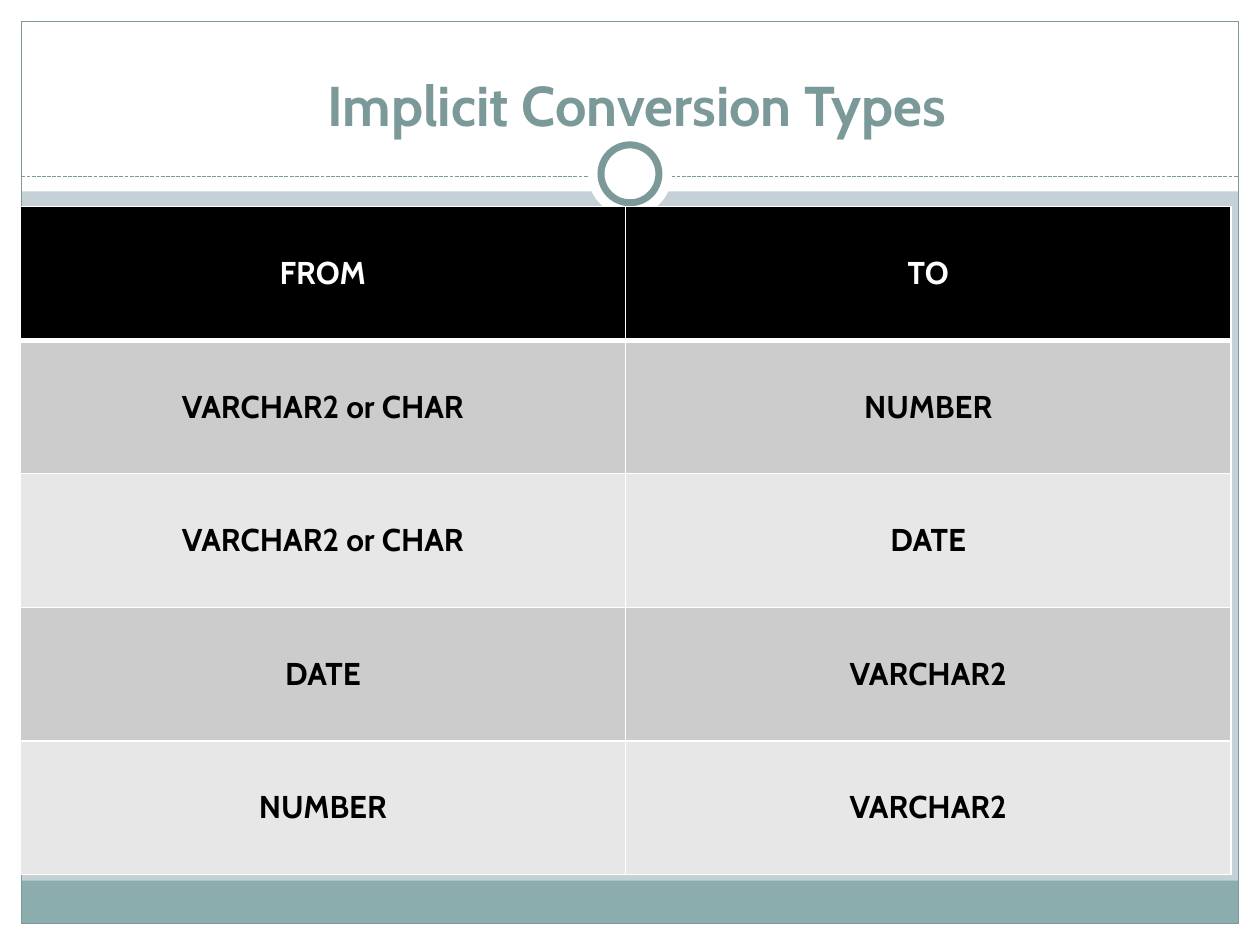
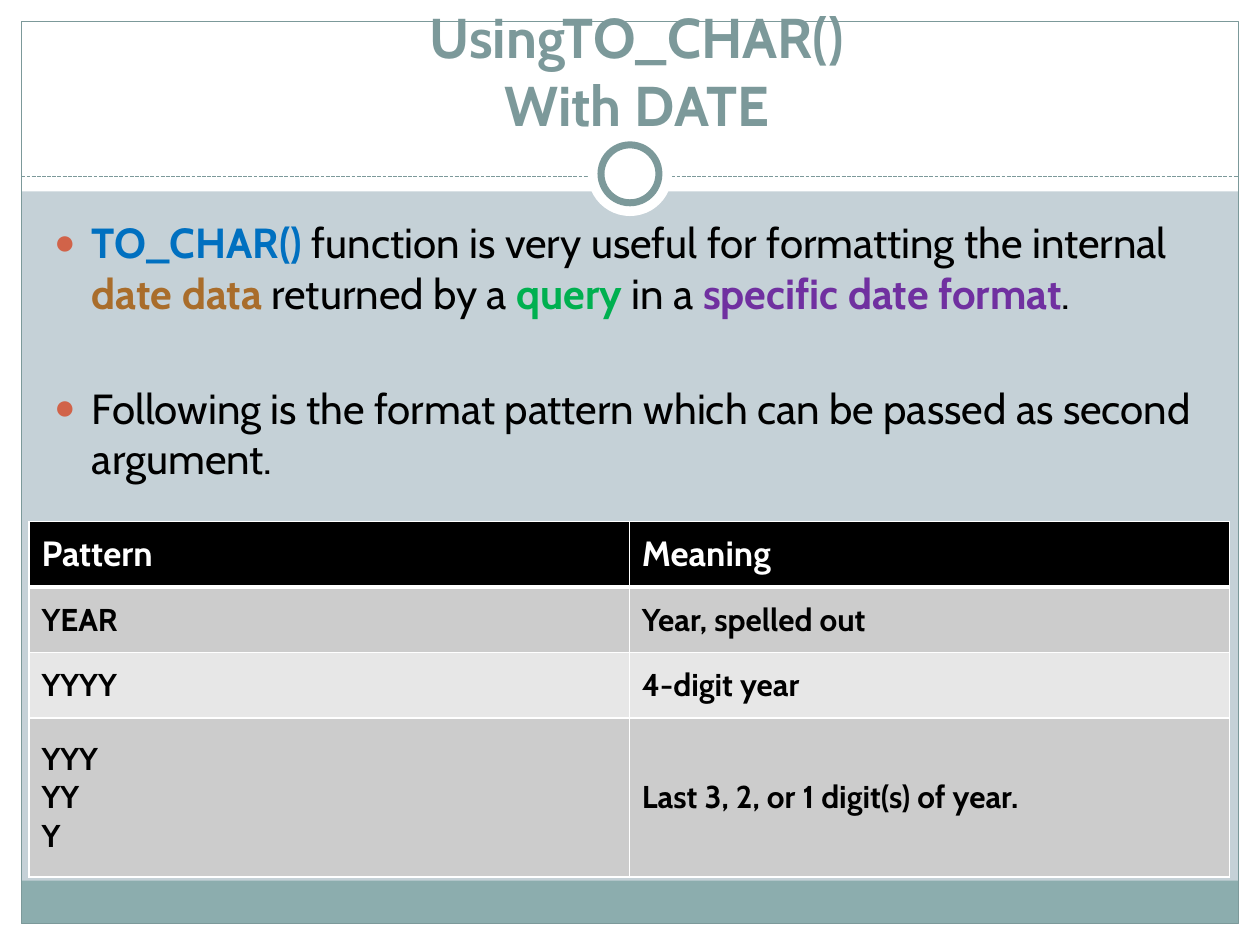
from dataclasses import dataclass

from lxml import etree
from pptx import Presentation
from pptx.dml.color import RGBColor
from pptx.enum.dml import MSO_LINE
from pptx.enum.shapes import MSO_CONNECTOR, MSO_SHAPE
from pptx.enum.text import MSO_ANCHOR, MSO_AUTO_SIZE, PP_ALIGN
from pptx.oxml import parse_xml
from pptx.oxml.ns import nsdecls, qn
from pptx.util import Inches, Pt

RECTANGLE, OVAL = MSO_SHAPE.RECTANGLE, MSO_SHAPE.OVAL
STRAIGHT = MSO_CONNECTOR.STRAIGHT
SHORT_DASH = MSO_LINE.SQUARE_DOT
BOTTOM, MIDDLE, TOP = MSO_ANCHOR.BOTTOM, MSO_ANCHOR.MIDDLE, MSO_ANCHOR.TOP
CENTER, LEFT = PP_ALIGN.CENTER, PP_ALIGN.LEFT
NO_AUTOFIT = MSO_AUTO_SIZE.NONE
TITLE_AND_BODY, TITLE_ONLY = 1, 5


@dataclass(frozen=True)
class Theme:
    font: str = "Cabin"
    background: str = "C5D1D7"
    white: str = "FFFFFF"
    black: str = "000000"
    accent: str = "7C999A"
    footer: str = "8CADAE"
    bullet: str = "D16349"
    blue: str = "0070C0"
    brown: str = "A96D2B"
    green: str = "00B050"
    purple: str = "7030A0"
    bands: tuple = ("CCCCCC", "E7E7E7")
    title_size: int = 32
    body_size: int = 24
    header_size: int = 20
    cell_size: int = 18


THEME = Theme()
SLIDE_WIDTH, SLIDE_HEIGHT = 10, 7.5
EDGE = 0.17
INNER_WIDTH = SLIDE_WIDTH - 2 * EDGE
INNER_HEIGHT = SLIDE_HEIGHT - 2 * EDGE
RING_CENTER = (5, 1.38)

FRAME_PARTS = [
    (RECTANGLE, (0, SLIDE_HEIGHT - EDGE, SLIDE_WIDTH, EDGE), THEME.white, None),
    (RECTANGLE, (0, 0, SLIDE_WIDTH, 1.52), THEME.white, None),
    (RECTANGLE, (0, 0, EDGE, SLIDE_HEIGHT), THEME.white, None),
    (RECTANGLE, (SLIDE_WIDTH - EDGE, 0, EDGE, SLIDE_HEIGHT), THEME.white, None),
    (RECTANGLE, (EDGE, 6.99, INNER_WIDTH, 0.34), THEME.footer, None),
    (RECTANGLE, (EDGE, EDGE, INNER_WIDTH, INNER_HEIGHT), None, 0.75),
]
RING_PARTS = [(0.67, None), (0.46, 4)]

SLIDES = [
    {
        "title": "Implicit Conversion Types",
        "body": [],
        "table": {
            "box": (0.16, 1.64, 9.61),
            "row_heights": [1.06] * 5,
            "rows": [
                ("FROM", "TO"),
                ("VARCHAR2 or CHAR", "NUMBER"),
                ("VARCHAR2 or CHAR", "DATE"),
                ("DATE", "VARCHAR2"),
                ("NUMBER", "VARCHAR2"),
            ],
            "alignment": CENTER,
            "header_size": THEME.cell_size,
            "margins": (0.15, 0.07),
        },
    },
    {
        "title": "UsingTO_CHAR()\nWith DATE",
        "body": [
            [
                ("TO_CHAR()", THEME.blue),
                (" function is very useful for formatting the internal ", None),
                ("date data ", THEME.brown),
                ("returned by a ", None),
                ("query", THEME.green),
                (" in a ", None),
                ("specific date format", THEME.purple),
                (".", None),
            ],
            [("Following is the format pattern which can be passed as second argument.", None)],
        ],
        "table": {
            "box": (0.23, 4.14, 9.53),
            "row_heights": [0.52, 0.52, 0.52, 1.26],
            "rows": [
                ("Pattern", "Meaning"),
                ("YEAR", "Year, spelled out"),
                ("YYYY", "4-digit year"),
                ("YYY\nYY\nY", "Last 3, 2, or 1 digit(s) of year."),
            ],
            "alignment": LEFT,
            "header_size": THEME.header_size,
            "margins": (0.1, 0.04),
        },
    },
]


def set_all(target, values):
    for name, value in values.items():
        setattr(target, name, value)


def format_run(run, size, color, bold=True):
    set_all(run.font, {"name": THEME.font, "size": Pt(size), "bold": bold})
    run.font.color.rgb = RGBColor.from_string(color)


def place(shape, box):
    set_all(shape, dict(zip(("left", "top", "width", "height"), map(Inches, box))))


def add_part(slide, kind, box, fill, line_width):
    shape = slide.shapes.add_shape(kind, *map(Inches, box))
    shape.shadow.inherit = False
    if fill:
        shape.fill.solid()
        shape.fill.fore_color.rgb = RGBColor.from_string(fill)
    else:
        shape.fill.background()
    if line_width:
        shape.line.width = Pt(line_width)
        shape.line.color.rgb = RGBColor.from_string(THEME.accent)
    else:
        shape.line.fill.background()


def add_frame(slide):
    for part in FRAME_PARTS:
        add_part(slide, *part)
    rule = slide.shapes.add_connector(
        STRAIGHT, Inches(EDGE), Inches(1.4), Inches(SLIDE_WIDTH - EDGE), Inches(1.4)
    )
    set_all(rule.line, {"width": Pt(0.75), "dash_style": SHORT_DASH})
    rule.line.color.rgb = RGBColor.from_string(THEME.accent)
    etree.SubElement(rule.element.spPr, qn("a:effectLst"))
    for diameter, line_width in RING_PARTS:
        left, top = (middle - diameter / 2 for middle in RING_CENTER)
        add_part(slide, OVAL, (left, top, diameter, diameter), THEME.white, line_width)


def bring_to_front(shape):
    shape.element.getparent().append(shape.element)


def add_title(slide, text):
    title = slide.shapes.title
    place(title, (0.39, 0.31, 9.33, 0.83))
    frame = title.text_frame
    frame.text = text
    set_all(frame, {"vertical_anchor": BOTTOM, "auto_size": NO_AUTOFIT, "word_wrap": True})
    for paragraph in frame.paragraphs:
        paragraph.alignment = CENTER
        for run in paragraph.runs:
            format_run(run, THEME.title_size, THEME.accent)
    bring_to_front(title)


def add_bullet(paragraph):
    properties = paragraph._p.get_or_add_pPr()
    properties.set("marL", str(Inches(0.3)))
    properties.set("indent", str(-Inches(0.3)))
    for markup in (
        f'<a:buClr {nsdecls("a")}><a:srgbClr val="{THEME.bullet}"/></a:buClr>',
        f'<a:buSzPct {nsdecls("a")} val="85000"/>',
        f'<a:buChar {nsdecls("a")} char="●"/>',
    ):
        properties.append(parse_xml(markup))


def add_body(slide, items):
    body = slide.placeholders[1]
    place(body, (0.33, 1.67, 9.3, 5.31))
    frame = body.text_frame
    set_all(frame, {"vertical_anchor": TOP, "auto_size": NO_AUTOFIT, "word_wrap": True})
    for index, pieces in enumerate(items):
        paragraph = frame.add_paragraph() if index else frame.paragraphs[0]
        add_bullet(paragraph)
        paragraph.space_before = Pt(37 if index else 0)
        for text, highlight in pieces:
            run = paragraph.add_run()
            run.text = text
            format_run(run, THEME.body_size, highlight or THEME.black, bool(highlight))
    bring_to_front(body)


def add_borders(cell, top_width, bottom_width):
    properties = cell._tc.get_or_add_tcPr()
    for side, width in (("L", 1), ("R", 1), ("T", top_width), ("B", bottom_width)):
        properties.append(parse_xml(
            f'<a:ln{side} {nsdecls("a")} w="{Pt(width)}"><a:solidFill>'
            f'<a:srgbClr val="{THEME.white}"/></a:solidFill></a:ln{side}>'
        ))


def add_table(slide, content):
    rows, heights = content["rows"], content["row_heights"]
    left, top, width = content["box"]
    column_count = len(rows[0])
    table = slide.shapes.add_table(
        len(rows), column_count, *map(Inches, (left, top, width, sum(heights)))
    ).table
    table.horz_banding = False
    for column in table.columns:
        column.width = Inches(width / column_count)
    horizontal, vertical = map(Inches, content["margins"])
    cell_format = {
        "vertical_anchor": MIDDLE,
        "margin_left": horizontal,
        "margin_right": horizontal,
        "margin_top": vertical,
        "margin_bottom": vertical,
    }
    for row_index, texts in enumerate(rows):
        table.rows[row_index].height = Inches(heights[row_index])
        is_header = row_index == 0
        fill = THEME.black if is_header else THEME.bands[(row_index - 1) % 2]
        color = THEME.white if is_header else THEME.black
        size = content["header_size"] if is_header else THEME.cell_size
        for column_index, text in enumerate(texts):
            cell = table.cell(row_index, column_index)
            cell.text = text
            set_all(cell, cell_format)
            add_borders(cell, 3 if row_index == 1 else 1, 3 if is_header else 1)
            cell.fill.solid()
            cell.fill.fore_color.rgb = RGBColor.from_string(fill)
            for paragraph in cell.text_frame.paragraphs:
                paragraph.alignment = content["alignment"]
                for run in paragraph.runs:
                    format_run(run, size, color)


def main():
    presentation = Presentation()
    set_all(presentation, {
        "slide_width": Inches(SLIDE_WIDTH), "slide_height": Inches(SLIDE_HEIGHT),
    })
    background = presentation.slide_master.background.fill
    background.solid()
    background.fore_color.rgb = RGBColor.from_string(THEME.background)
    for content in SLIDES:
        layout = TITLE_AND_BODY if content["body"] else TITLE_ONLY
        slide = presentation.slides.add_slide(presentation.slide_layouts[layout])
        add_frame(slide)
        add_title(slide, content["title"])
        if content["body"]:
            add_body(slide, content["body"])
        add_table(slide, content["table"])
    presentation.save("out.pptx")


if __name__ == "__main__":
    main()
